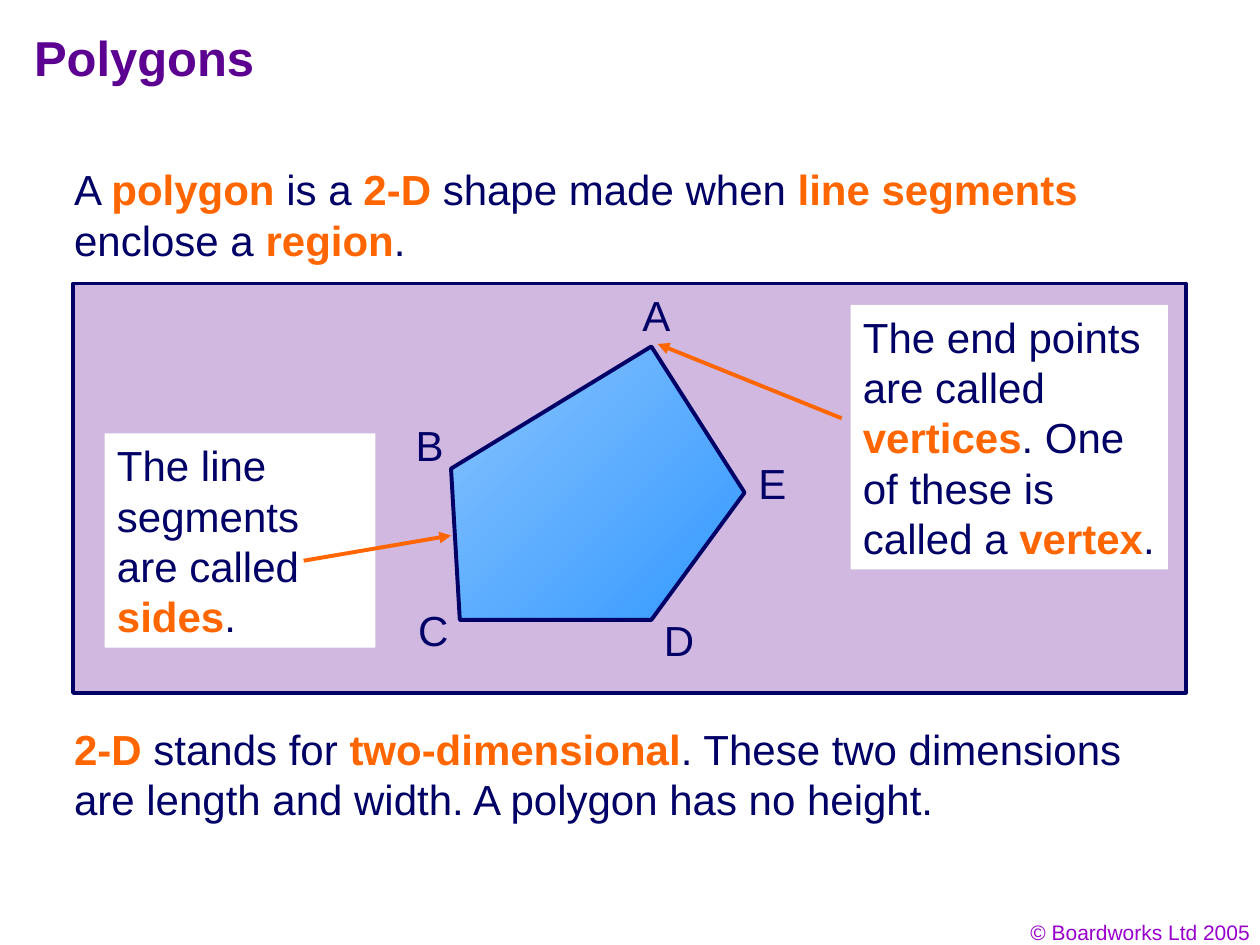
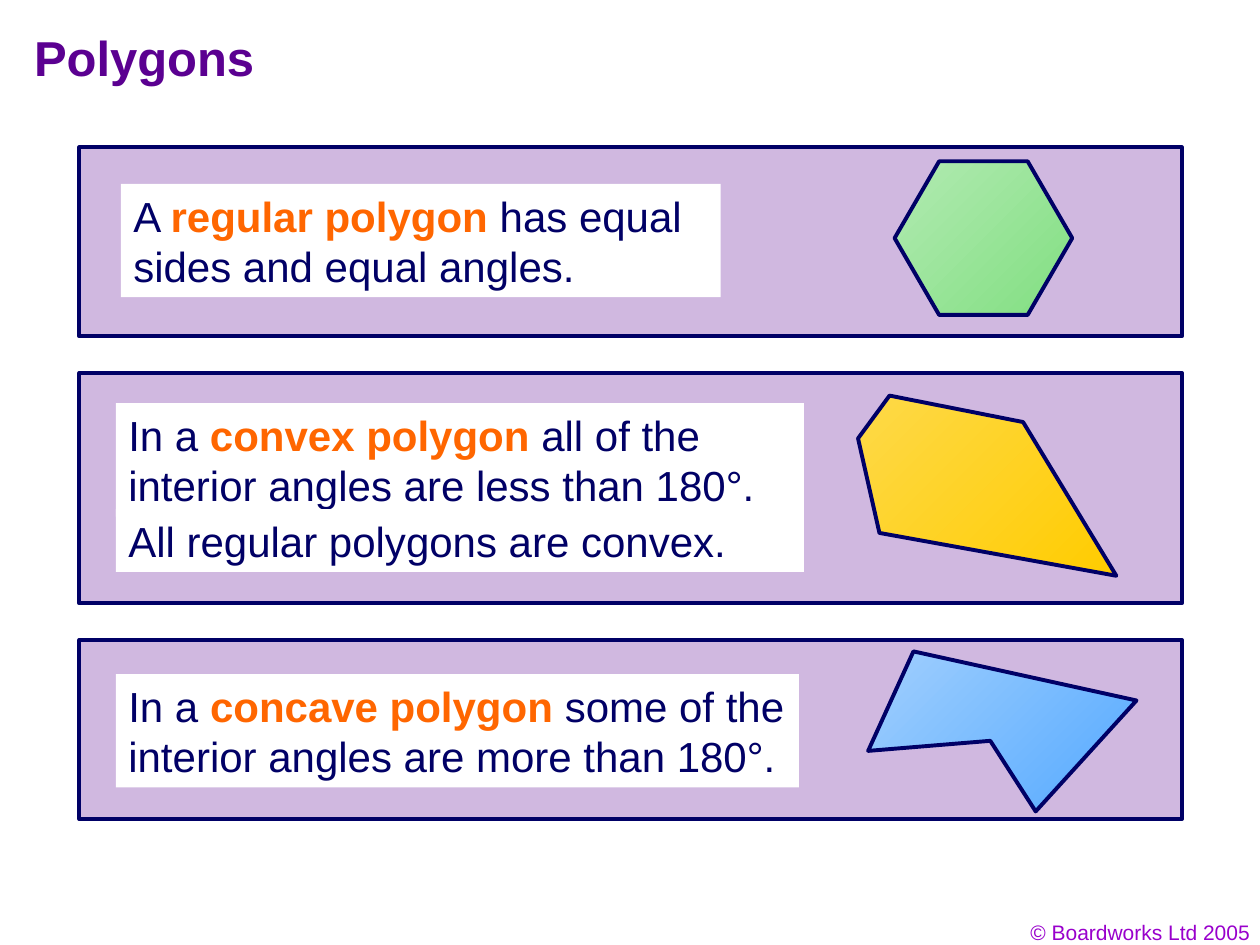
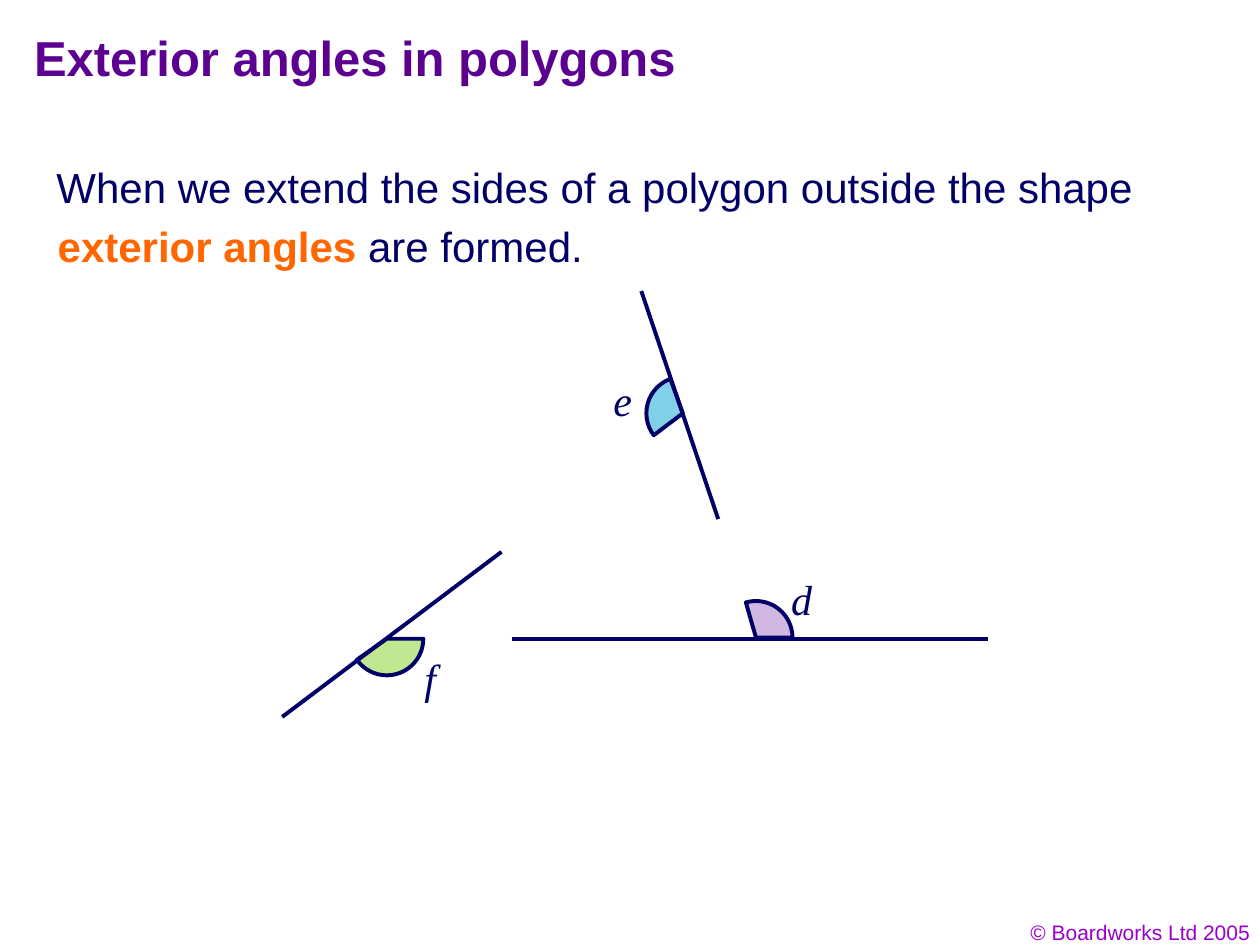
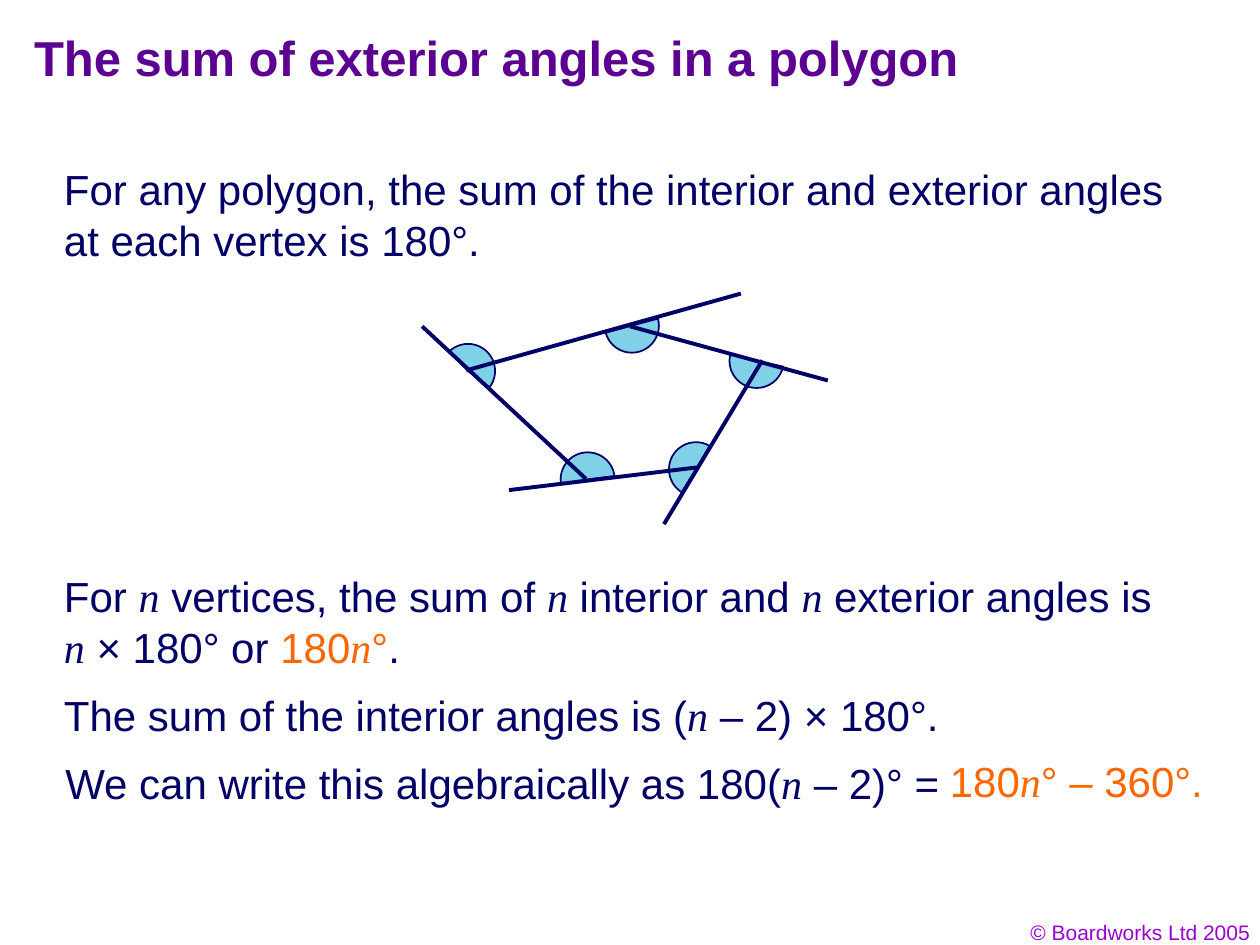
from lxml.etree import SubElement
from pptx import Presentation
from pptx.dml.color import RGBColor
from pptx.enum.shapes import MSO_CONNECTOR, MSO_SHAPE
from pptx.enum.text import MSO_ANCHOR, PP_ALIGN
from pptx.oxml.ns import qn
from pptx.util import Inches, Pt

TEXT = "010066"
LINE = "000066"
ACCENT = "FF6600"
TITLE = "5B0091"
FOOTER = "9900CC"
PANEL = "D0B8E0"
WHITE = "FFFFFF"
SKY = "80D0E8"
LIME = "C0E890"
BODY_FONT = "Arial"
MATH_FONT = "Times New Roman"


def colour(value):
    return RGBColor.from_string(value)


def key(text):
    return text, {"color": ACCENT, "bold": True}


def result(text):
    return text, {"color": ACCENT}


def variable(text, color=TEXT):
    return text, {"color": color, "name": MATH_FONT, "italic": True}


class Lesson:
    def __init__(self):
        self.deck = Presentation()
        self.deck.slide_width = Inches(10)
        self.deck.slide_height = Inches(7.5)
        self.page = None

    def add_page(self, title):
        self.page = self.deck.slides.add_slide(self.deck.slide_layouts[5])
        heading = self.page.shapes.title
        heading.left, heading.top = Inches(0.17), Inches(0.17)
        heading.width, heading.height = Inches(8.5), Inches(0.67)
        heading.text_frame.vertical_anchor = MSO_ANCHOR.TOP
        self.fill_frame(heading.text_frame, [title], 28, TITLE, bold=True)
        self.text(7.69, 7.25, 2.33, 0.3, ["© Boardworks Ltd 2005"],
                  size=12, color=FOOTER, align=PP_ALIGN.RIGHT)

    def fill_frame(self, frame, spans, size, color, align=PP_ALIGN.LEFT, bold=False):
        para = frame.paragraphs[0]
        para.alignment = align
        para.line_spacing = Pt(round(size * 1.2, 1))
        para.font.size = Pt(size)
        para.font.name = BODY_FONT
        para.font.bold = bold
        para.font.color.rgb = colour(color)
        for item in spans:
            words, style = (item, {}) if isinstance(item, str) else item
            span = para.add_run()
            span.text = words
            for name, value in style.items():
                if name == "color":
                    span.font.color.rgb = colour(value)
                else:
                    setattr(span.font, name, value)

    def text(self, left, top, width, height, spans, size=24, color=TEXT,
             align=PP_ALIGN.LEFT, wrap=True, fill=None):
        box = self.page.shapes.add_textbox(
            Inches(left), Inches(top), Inches(width), Inches(height))
        box.text_frame.word_wrap = wrap
        if fill:
            box.fill.solid()
            box.fill.fore_color.rgb = colour(fill)
        self.fill_frame(box.text_frame, spans, size, color, align)

    def label(self, left, top, width, span):
        self.text(left, top, width, 0.5, [span], wrap=False)

    def paint(self, shape, fill, weight=2.25):
        shape.shadow.inherit = False
        shape.line.color.rgb = colour(LINE)
        shape.line.width = Pt(weight)
        if isinstance(fill, str):
            shape.fill.solid()
            shape.fill.fore_color.rgb = colour(fill)
        else:
            shape.fill.gradient()
            shape.fill.gradient_angle = 135
            for stop, value in zip(shape.fill.gradient_stops, fill):
                stop.color.rgb = colour(value)

    def preset(self, kind, left, top, width, height, fill, adjust=(), weight=2.25):
        shape = self.page.shapes.add_shape(
            kind, Inches(left), Inches(top), Inches(width), Inches(height))
        for index, value in enumerate(adjust):
            shape.adjustments[index] = value
        self.paint(shape, fill, weight)

    def panel(self, left, top, width, height):
        self.preset(MSO_SHAPE.RECTANGLE, left, top, width, height, PANEL)

    def sector(self, left, top, size, start, end, fill, weight=2.25):
        self.preset(MSO_SHAPE.PIE, left, top, size, size, fill,
                    (start * 0.6, end * 0.6), weight)

    def polygon(self, points, fill):
        corners = [(Inches(x), Inches(y)) for x, y in points]
        builder = self.page.shapes.build_freeform(*corners[0])
        builder.add_line_segments(corners[1:], close=True)
        self.paint(builder.convert_to_shape(), fill)

    def line(self, start, end, color=LINE, arrow=False):
        connector = self.page.shapes.add_connector(
            MSO_CONNECTOR.STRAIGHT, *map(Inches, start + end))
        connector.line.color.rgb = colour(color)
        connector.line.width = Pt(2.25)
        properties = connector.element.spPr
        if arrow:
            SubElement(properties.find(qn("a:ln")), qn("a:tailEnd"), type="triangle")
        SubElement(properties, qn("a:effectLst"))


def polygon_parts(lesson):
    lesson.add_page("Polygons")
    lesson.panel(0.58, 2.25, 8.83, 3.25)
    lesson.text(0.49, 1.25, 9, 0.9, [
        "A ", key("polygon"), " is a ", key("2-D"), " shape made when ",
        key("line segments"), " enclose a ", key("region"), "."])
    for vertex, left, top, width in (
            ("A", 5, 2.25, 0.42), ("B", 3.2, 3.28, 0.42), ("C", 3.22, 4.75, 0.44),
            ("D", 5.17, 4.83, 0.44), ("E", 5.92, 3.58, 0.42)):
        lesson.label(left, top, width, vertex)
    lesson.text(0.83, 3.44, 2.15, 1.7,
                ["The line segments are called ", key("sides"), "."], fill=WHITE)
    lesson.line((2.41, 4.45), (3.58, 4.25), ACCENT, arrow=True)
    lesson.text(6.75, 2.42, 2.52, 2.1, [
        "The end points are called ", key("vertices"),
        ". One of these is called a ", key("vertex"), "."], fill=WHITE)
    lesson.line((6.68, 3.32), (5.22, 2.73), ACCENT, arrow=True)
    lesson.polygon([(3.65, 4.92), (5.17, 4.92), (5.91, 3.91), (5.17, 2.75), (3.58, 3.72)],
                   ("3399FF", "89C3FE"))
    lesson.text(0.49, 5.69, 9, 0.9, [
        key("2-D"), " stands for ", key("two-dimensional"),
        ". These two dimensions are length and width. A polygon has no height."])


def polygon_kinds(lesson):
    lesson.add_page("Polygons")
    for top, height in ((1.17, 1.5), (2.96, 1.83), (5.08, 1.42)):
        lesson.panel(0.63, top, 8.75, height)
    for left, top, width, spans in (
            (0.96, 1.46, 4.76, ["A ", key("regular polygon "),
                                "has equal sides and equal angles."]),
            (0.92, 3.2, 5.46, ["In a ", key("convex polygon "),
                               "all of the interior angles are less than 180°."]),
            (0.92, 5.35, 5.42, ["In a ", key("concave polygon "),
                                "some of the interior angles are more than 180°."])):
        lesson.text(left, top, width, 0.9, spans, fill=WHITE)
    lesson.text(0.92, 4.04, 5.46, 0.5, ["All regular polygons are convex."], fill=WHITE)
    lesson.preset(MSO_SHAPE.HEXAGON, 7.1, 1.28, 1.41, 1.22, ("81DF81", "B2EAB2"), (0.29,))
    lesson.polygon([(7.06, 3.14), (6.81, 3.48), (6.98, 4.23), (8.86, 4.57), (8.12, 3.35)],
                   ("FFCC00", "FED948"))
    lesson.polygon([(7.25, 5.17), (6.89, 5.96), (7.86, 5.88), (8.22, 6.44), (9.02, 5.56)],
                   ("53A9FF", "A1CFFE"))


def exterior_angles(lesson):
    lesson.add_page("Exterior angles in polygons")
    for left, top, start, end, fill in (
            (5.13, 2.99, 143, 250, SKY), (5.71, 4.77, 254, 0, PANEL),
            (2.78, 4.78, 0, 145, LIME)):
        lesson.sector(left, top, 0.58, start, end, fill)
    for name, left, top, width in (
            ("f", 3.27, 5.13, 0.29), ("d", 6.18, 4.5, 0.36), ("e", 4.77, 2.92, 0.35)):
        lesson.label(left, top, width, variable(name))
    lesson.text(0.35, 1.23, 9.44, 0.5,
                ["When we extend the sides of a polygon outside the shape"])
    lesson.text(0.36, 1.7, 4.37, 0.5, [key("exterior angles"), " are formed."], wrap=False)
    for start, end in (((4.06, 5.07), (7.84, 5.07)), ((5.7, 4.12), (5.09, 2.31)),
                       ((3.98, 4.38), (2.24, 5.69))):
        lesson.line(start, end)


def exterior_sum(lesson):
    lesson.add_page("The sum of exterior angles in a polygon")
    lesson.text(0.41, 1.25, 9.23, 0.9, [
        "For any polygon, the sum of the interior and exterior angles "
        "at each vertex is 180°."])
    for left, top, start, end in (
            (3.5, 2.73, 227, 37), (4.45, 3.59, 171, 353), (5.31, 3.51, 122, 300),
            (5.79, 2.65, 12, 194), (4.8, 2.37, 345, 165)):
        lesson.sector(left, top, 0.43, start, end, SKY, weight=1)
    for start, end in (((3.7, 2.94), (5.88, 2.33)), ((5, 2.59), (6.57, 3.02)),
                       ((6.05, 2.86), (5.27, 4.16)), ((5.53, 3.71), (4.04, 3.89)),
                       ((4.65, 3.8), (3.35, 2.59))):
        lesson.line(start, end)
    n = variable("n")
    accent_n = variable("n", ACCENT)
    lesson.text(0.41, 4.48, 9, 0.9, [
        "For ", n, " vertices, the sum of ", n, " interior and ", n,
        " exterior angles is ", n, " × 180° or ",
        result("180"), accent_n, result("°"), "."])
    lesson.text(0.41, 5.42, 7.14, 0.5,
                ["The sum of the interior angles is (", n, " – 2) × 180°."], wrap=False)
    lesson.text(0.42, 5.96, 7.14, 0.5,
                ["We can write this algebraically as 180(", n, " – 2)° ="], wrap=False)
    lesson.text(7.44, 5.95, 2.21, 0.5,
                [result("180"), accent_n, result("° – 360°.")], wrap=False)


def main():
    lesson = Lesson()
    for build in (polygon_parts, polygon_kinds, exterior_angles, exterior_sum):
        build(lesson)
    lesson.deck.save("out.pptx")


if __name__ == "__main__":
    main()
